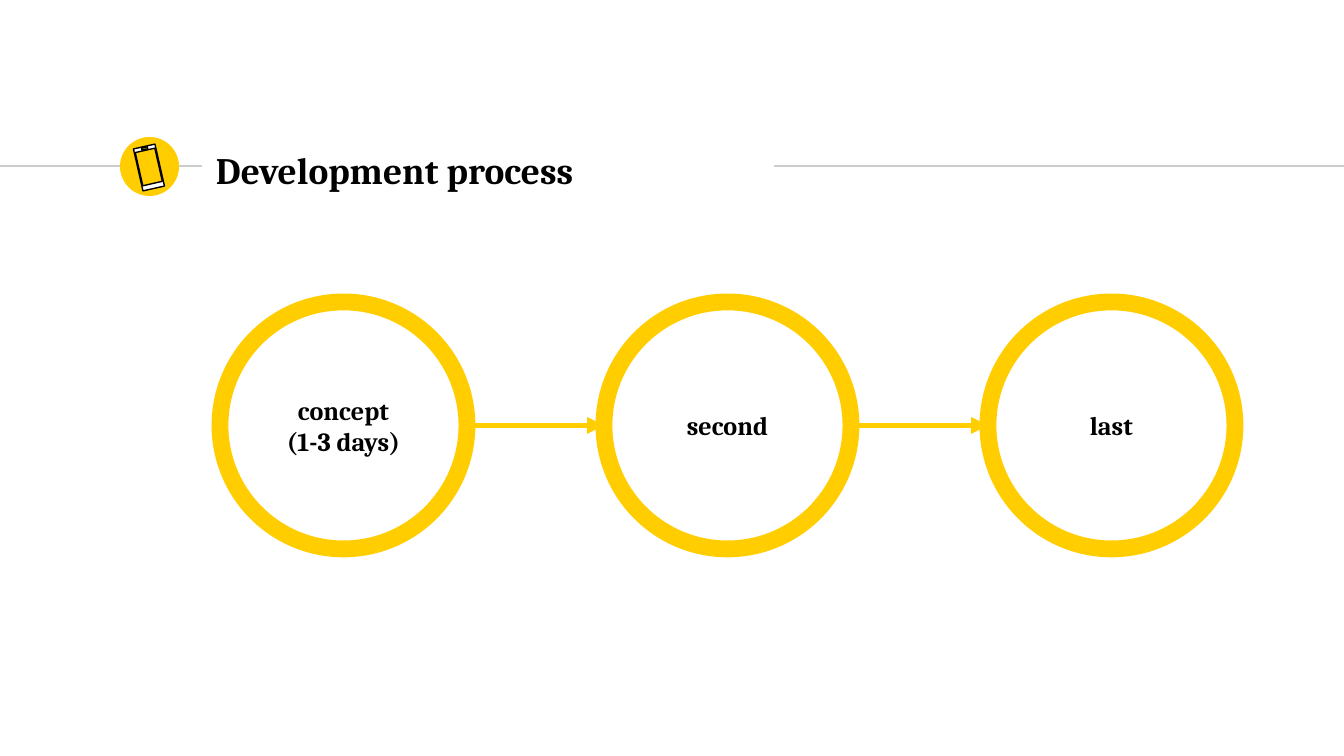
from dataclasses import dataclass

import lxml.etree
import pptx
import pptx.dml.color
import pptx.enum.shapes
import pptx.enum.text
import pptx.oxml.ns
import pptx.util

EMU_PER_PX = 914400 / 134.4
SITE_LEFT, SITE_RIGHT = 2, 6  # connection sites of an ellipse


def px(length):
    return pptx.util.Emu(round(length * EMU_PER_PX))


@dataclass(frozen=True)
class Theme:
    font: str = "Cambria"
    ink: str = "000000"
    paper: str = "FFFFFF"
    accent: str = "FFCD00"
    rule: str = "CCCCCC"
    title_size: int = 20
    step_size: int = 14
    hairline: float = 0.75
    arrow: int = 3
    ring: int = 9
    inset: int = 13


class SlideBuilder:
    def __init__(self, slide, theme):
        self.slide = slide
        self.theme = theme

    def color(self, value):
        return pptx.dml.color.RGBColor.from_string(value)

    def paint(self, shape, fill=None, line=None, width=0):
        shape.shadow.inherit = False
        if fill:
            shape.fill.solid()
            shape.fill.fore_color.rgb = self.color(fill)
        else:
            shape.fill.background()
        if line:
            shape.line.color.rgb = self.color(line)
            shape.line.width = pptx.util.Pt(width)
        else:
            shape.line.fill.background()

    def label(self, shape, text, size, align):
        frame = shape.text_frame
        frame.text = text
        frame.word_wrap = True
        frame.auto_size = pptx.enum.text.MSO_AUTO_SIZE.NONE
        frame.vertical_anchor = pptx.enum.text.MSO_ANCHOR.MIDDLE
        frame.margin_left = frame.margin_right = px(self.theme.inset)
        frame.margin_top = frame.margin_bottom = px(self.theme.inset)
        for paragraph in frame.paragraphs:
            paragraph.alignment = align
            for run in paragraph.runs:
                run.font.name = self.theme.font
                run.font.size = pptx.util.Pt(size)
                run.font.bold = True
                run.font.color.rgb = self.color(self.theme.ink)

    def title(self, text, left, top, width, height):
        heading = self.slide.shapes.title
        heading.left, heading.top = px(left), px(top)
        heading.width, heading.height = px(width), px(height)
        self.label(heading, text, self.theme.title_size, pptx.enum.text.PP_ALIGN.LEFT)

    def circle(self, left, top, size, **style):
        disc = self.slide.shapes.add_shape(
            pptx.enum.shapes.MSO_SHAPE.OVAL, px(left), px(top), px(size), px(size))
        self.paint(disc, **style)
        return disc

    def step(self, text, left, top, size):
        ring = self.circle(left, top, size, line=self.theme.accent, width=self.theme.ring)
        self.label(ring, text, self.theme.step_size, pptx.enum.text.PP_ALIGN.CENTER)
        return ring

    def line(self, start, end, y, color, width):
        rule = self.slide.shapes.add_connector(
            pptx.enum.shapes.MSO_CONNECTOR.STRAIGHT, px(start), px(y), px(end), px(y))
        rule.line.color.rgb = self.color(color)
        rule.line.width = pptx.util.Pt(width)
        properties = rule.element.spPr
        lxml.etree.SubElement(properties, pptx.oxml.ns.qn("a:effectLst"))
        return rule

    def arrow(self, source, target, start, end, y):
        link = self.line(start, end, y, self.theme.accent, self.theme.arrow)
        stroke = link.element.spPr.find(pptx.oxml.ns.qn("a:ln"))
        lxml.etree.SubElement(stroke, pptx.oxml.ns.qn("a:tailEnd"), type="triangle")
        # Join the arrow to the side points of both circles
        joints = link.element.find(".//" + pptx.oxml.ns.qn("p:cNvCxnSpPr"))
        for tag, step, site in (("a:stCxn", source, SITE_RIGHT),
                                ("a:endCxn", target, SITE_LEFT)):
            lxml.etree.SubElement(joints, pptx.oxml.ns.qn(tag),
                                  id=str(step.shape_id), idx=str(site))

    def outline(self, boxes, rotation, **style):
        """Draw boxes (left, top, right, bottom) as contours of one shape."""
        builder = None
        for left, top, right, bottom in boxes:
            if builder is None:
                builder = self.slide.shapes.build_freeform(left, top, scale=EMU_PER_PX)
            else:
                builder.move_to(left, top)
            builder.add_line_segments(
                [(right, top), (right, bottom), (left, bottom)], close=True)
        icon = builder.convert_to_shape()
        icon.rotation = rotation
        self.paint(icon, **style)


def main():
    theme = Theme()
    deck = pptx.Presentation()
    deck.slide_width, deck.slide_height = px(1344), px(756)
    page = SlideBuilder(deck.slides.add_slide(deck.slide_layouts[5]), theme)

    # Header: rules, badge and title
    for start, end in ((0, 202), (774, 1344)):
        page.line(start, end, 166, theme.rule, theme.hairline)
    page.circle(120, 137, 59, fill=theme.accent)
    page.title("Development process", 203, 137, 620, 65)

    # Phone icon: body, screen and speaker
    page.outline([(138, 146, 160, 189), (139, 150, 159, 184), (146, 147, 152, 149)],
                 347.2, fill=theme.paper, line=theme.ink, width=theme.hairline)

    # Process steps at equal gaps
    first_left, top, size, pitch = 220, 302, 247, 384
    names = ("concept\n(1-3 days)", "second", "last")
    lefts = [first_left + pitch * index for index in range(len(names))]
    steps = [page.step(name, left, top, size) for name, left in zip(names, lefts)]

    # Arrows between neighbouring steps
    for index in range(len(steps) - 1):
        page.arrow(steps[index], steps[index + 1],
                   lefts[index] + size, lefts[index + 1], top + size / 2)

    deck.save("out.pptx")


if __name__ == "__main__":
    main()
